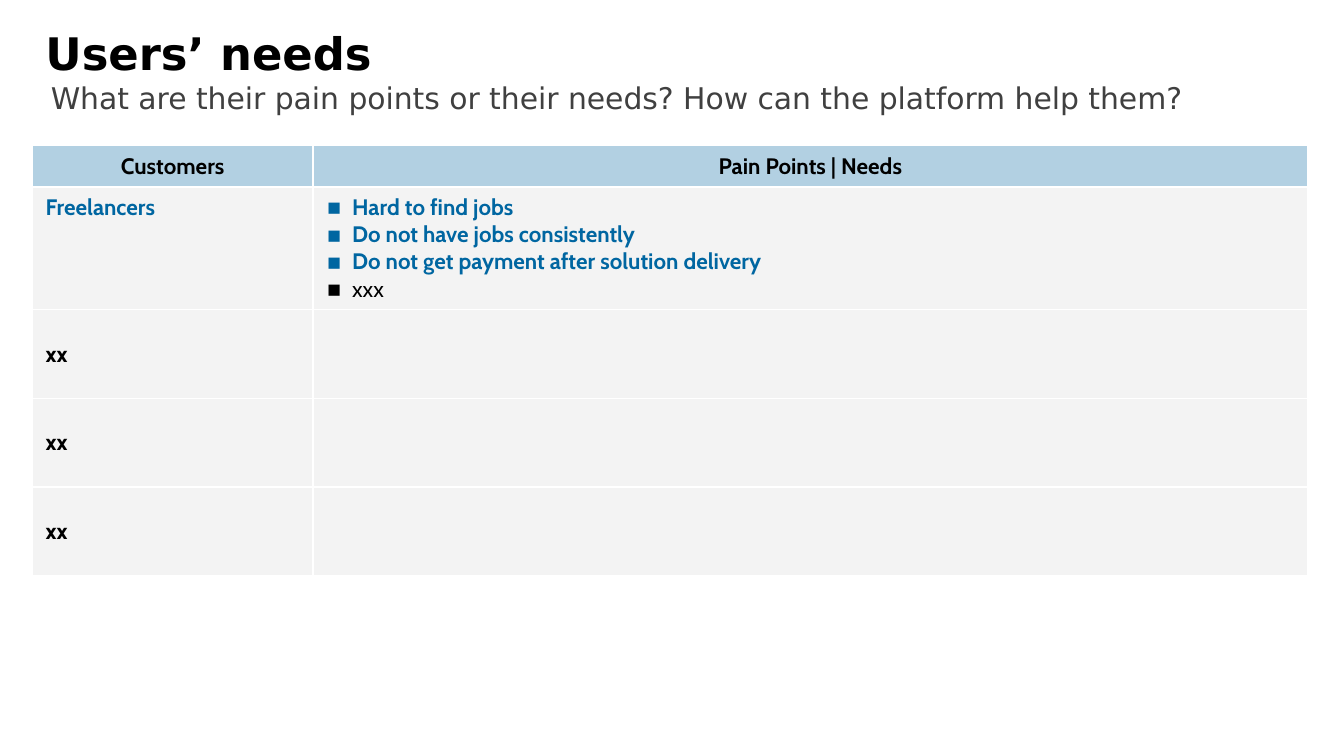
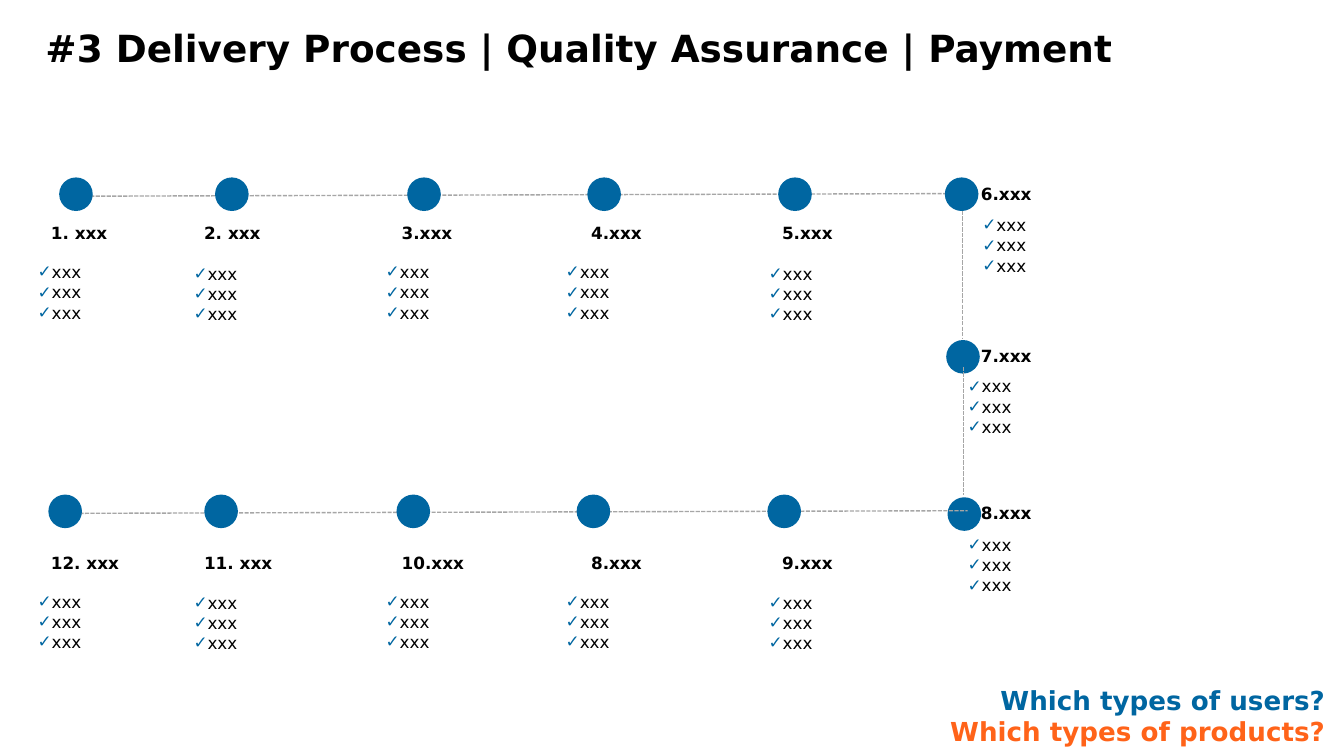
from lxml import etree
from pptx import Presentation
from pptx.dml.color import RGBColor
from pptx.enum.dml import MSO_LINE_DASH_STYLE as Dash
from pptx.enum.shapes import MSO_CONNECTOR as Link, MSO_SHAPE as Shape
from pptx.enum.text import MSO_ANCHOR as Anchor, MSO_AUTO_SIZE as Auto, PP_ALIGN as Align
from pptx.oxml.ns import qn
from pptx.util import Pt

PX = 9144  # 100 px to the inch
WIDTH = 1000
BLUE = RGBColor(0x00, 0x66, 0xA1)
GREY = RGBColor(0xD9, 0xD9, 0xD9)
RULE = RGBColor(0xA6, 0xA6, 0xA6)
DARK = RGBColor(0x40, 0x40, 0x40)
BLACK = RGBColor(0, 0, 0)
WHITE = RGBColor(0xFF, 0xFF, 0xFF)
ORANGE = RGBColor(0xFF, 0x63, 0x19)
SANS, CABIN = "DejaVu Sans", "Cabin"
DOT = 25


def px(*sizes):
    return [round(size * PX) for size in sizes]


def style(para, size, color=BLACK, bold=False, font=SANS):
    for run in para.runs:
        run.font.size, run.font.name = Pt(size), font
        run.font.color.rgb, run.font.bold = color, bold


def bullet(para, char, indent, color=None):
    props = para._p.get_or_add_pPr()
    props.set("marL", str(indent * PX))
    props.set("indent", str(-indent * PX))
    if color is not None:
        tint = etree.SubElement(props, qn("a:buClr"))
        etree.SubElement(tint, qn("a:srgbClr")).set("val", str(color))
    etree.SubElement(props, qn("a:buFont")).set("typeface", SANS)
    etree.SubElement(props, qn("a:buChar")).set("char", char)


def write(slide, box, text, size, color=BLACK, bold=False, grow=True):
    frame = slide.shapes.add_textbox(*px(*box)).text_frame
    frame.word_wrap = True
    frame.auto_size = Auto.SHAPE_TO_FIT_TEXT if grow else Auto.NONE
    frame.text = text
    for para in frame.paragraphs:
        style(para, size, color, bold)
    return frame


def title(slide, text, size):
    write(slide, (24, 14, 957, 62), text, size, bold=True, grow=False)


# Table of needs

def paint(cell, color):
    cell.fill.solid()
    cell.fill.fore_color.rgb = color
    props = cell._tc.get_or_add_tcPr()
    tone = props.find(qn("a:solidFill"))[0]
    etree.SubElement(tone, qn("a:alpha")).set("val", "30000")
    for at, side in enumerate(("a:lnL", "a:lnR", "a:lnT", "a:lnB")):
        line = etree.Element(qn(side), w=str(Pt(1)))
        fill = etree.SubElement(line, qn("a:solidFill"))
        etree.SubElement(fill, qn("a:srgbClr")).set("val", str(WHITE))
        props.insert(at, line)


def needs(slide, box):
    rows = [
        ("Customers", "Pain Points | Needs"),
        ("Freelancers", "Hard to find jobs\nDo not have jobs consistently\n"
                        "Do not get payment after solution delivery\nxxx"),
        *[("xx", "")] * 3,
    ]
    table = slide.shapes.add_table(len(rows), 2, *px(*box)).table
    for col, width in zip(table.columns, px(209, box[2] - 209)):
        col.width = width
    for row, height in zip(table.rows, px(31, 84, 66, 66, 66)):
        row.height = height
    for r, texts in enumerate(rows):
        for c, text in enumerate(texts):
            cell = table.cell(r, c)
            cell.text = text
            cell.vertical_anchor = Anchor.TOP if r == 1 else Anchor.MIDDLE
            paint(cell, GREY if r else BLUE)
            for para in cell.text_frame.paragraphs:
                para.alignment = Align.LEFT if r else Align.CENTER
                plain = para.text == "xxx"
                color = BLUE if r == 1 and not plain else BLACK
                style(para, 12, color, not plain, CABIN)
                if r == 1 and c == 1:
                    bullet(para, "▪", 19)


# Parts of the process

def dash(slide, *ends):
    line = slide.shapes.add_connector(Link.STRAIGHT, *px(*ends))
    line.line.color.rgb, line.line.width = RULE, Pt(0.75)
    line.line.dash_style = Dash.SQUARE_DOT
    etree.SubElement(line._element.spPr, qn("a:effectLst"))


def dot(slide, x, y):
    disc = slide.shapes.add_shape(Shape.OVAL, *px(x, y, DOT, DOT))
    disc.shadow.inherit = False
    disc.fill.solid()
    disc.fill.fore_color.rgb = BLUE
    disc.line.fill.background()


def checks(slide, x, y, width=143):
    frame = write(slide, (x, y, width, 56), "\n".join(["xxx"] * 3), 9)
    frame.margin_left = frame.margin_right = 0
    for para in frame.paragraphs:
        bullet(para, "✓", 9, BLUE)


def head(slide, x, y, text, width=165):
    write(slide, (x, y, width, 25), text, 9, bold=True)


def track(slide, box, drop, names):
    """Row of five steps: the dots fill the box, the notes start at drop."""
    x, y, width = box
    dash(slide, x + 19, y + 14, x + width, y + 12)
    for step in (0, 116, 259, 393, 535):
        dot(slide, x + step, y)
    spots = zip(names, (28, 142, 289, 430, 572), (28, 144, 287, 421, 572),
                (0, 1, 0, 0, 1))
    for name, left, list_x, nudge in spots:
        head(slide, left, drop, name)
        checks(slide, list_x, drop + 29 + nudge, 127 if list_x == 28 else 143)


def side(slide, x, y):
    """Column of three steps down the right."""
    steps = [("6.xxx", 0, 0, 28, 23, 165, 143),
             ("7.xxx", 1, 120, 17, 143, 244, 235),
             ("8.xxx", 2, 237, 17, 261, 244, 235)]
    for name, shift, top, left, below, wide, span in steps:
        dot(slide, x + shift, y + top + min(shift, 1))
        head(slide, x + 17, y + top, name, wide)
        checks(slide, x + left, y + below, span)
    for shift, top in ((13, 25), (14, 141)):
        dash(slide, x + shift, y + top, x + shift, y + top + 95)


def asks(slide, box):
    frame = write(slide, box, "Which types of users?\nWhich types of products?",
                  14, BLUE, True)
    frame.word_wrap = False
    for para in frame.paragraphs:
        para.alignment = Align.RIGHT
    style(frame.paragraphs[1], 14, ORANGE, True)


# Slides

def users(slide):
    needs(slide, (24, 108, 949, 319))
    write(slide, (28, 54, 957, 62),
          "What are their pain points or their needs? "
          "How can the platform help them?", 16, DARK, grow=False)
    title(slide, "Users’ needs", 24)


def process(slide):
    title(slide, "#3 Delivery Process | Quality Assurance | Payment", 20)
    track(slide, (44, 132, 684), 161,
          ("1. xxx", "2. xxx", "3.xxx", "4.xxx", "5.xxx"))
    side(slide, 703, 132)
    track(slide, (36, 368, 684), 406,
          ("12. xxx", "11. xxx", "10.xxx", "8.xxx", "9.xxx"))
    asks(slide, (697, 504, 299, 57))


def main():
    deck = Presentation()
    deck.slide_width, deck.slide_height = px(WIDTH, WIDTH * 9 / 16)
    for fill in (users, process):
        fill(deck.slides.add_slide(deck.slide_layouts[6]))
    deck.save("out.pptx")


if __name__ == "__main__":
    main()
